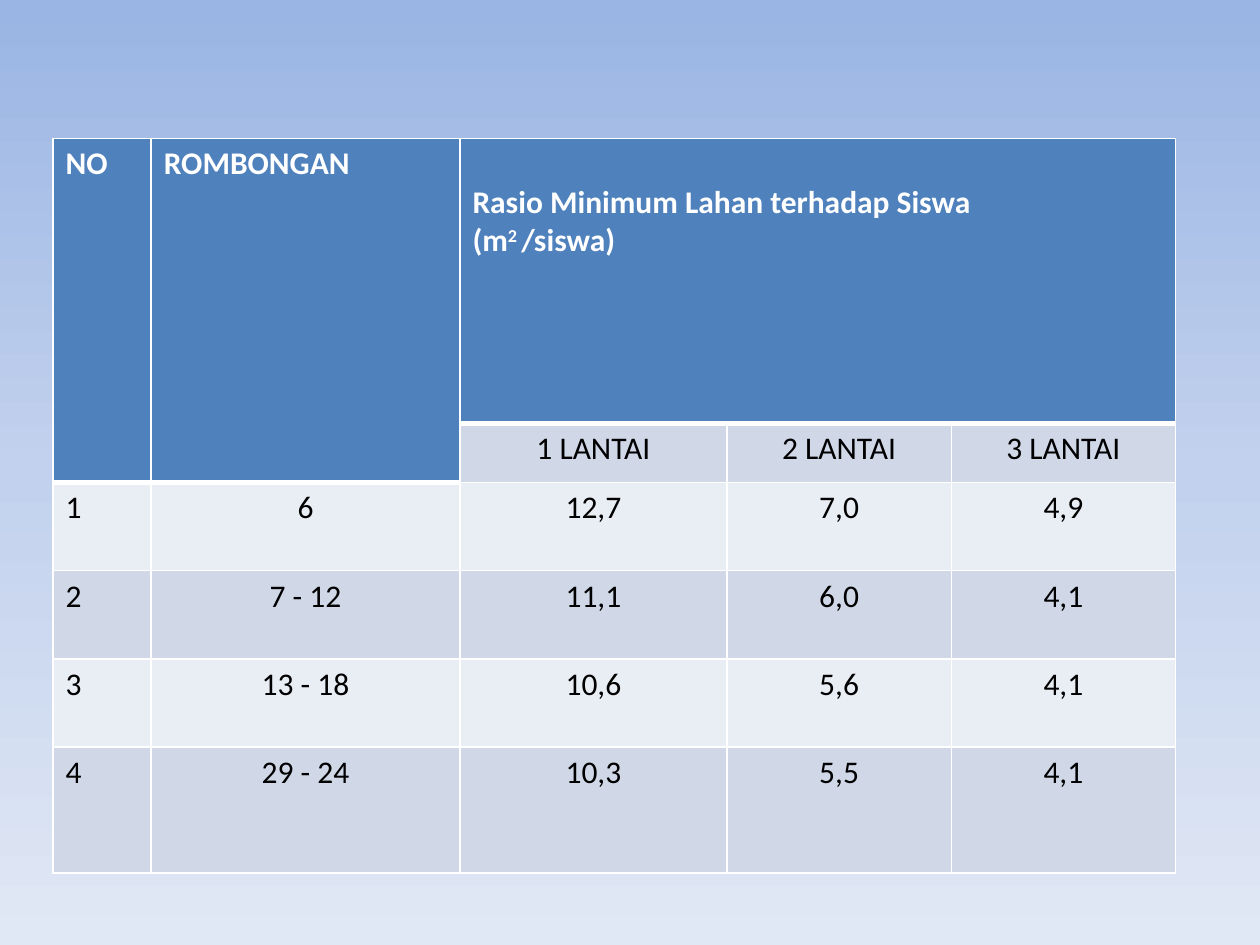
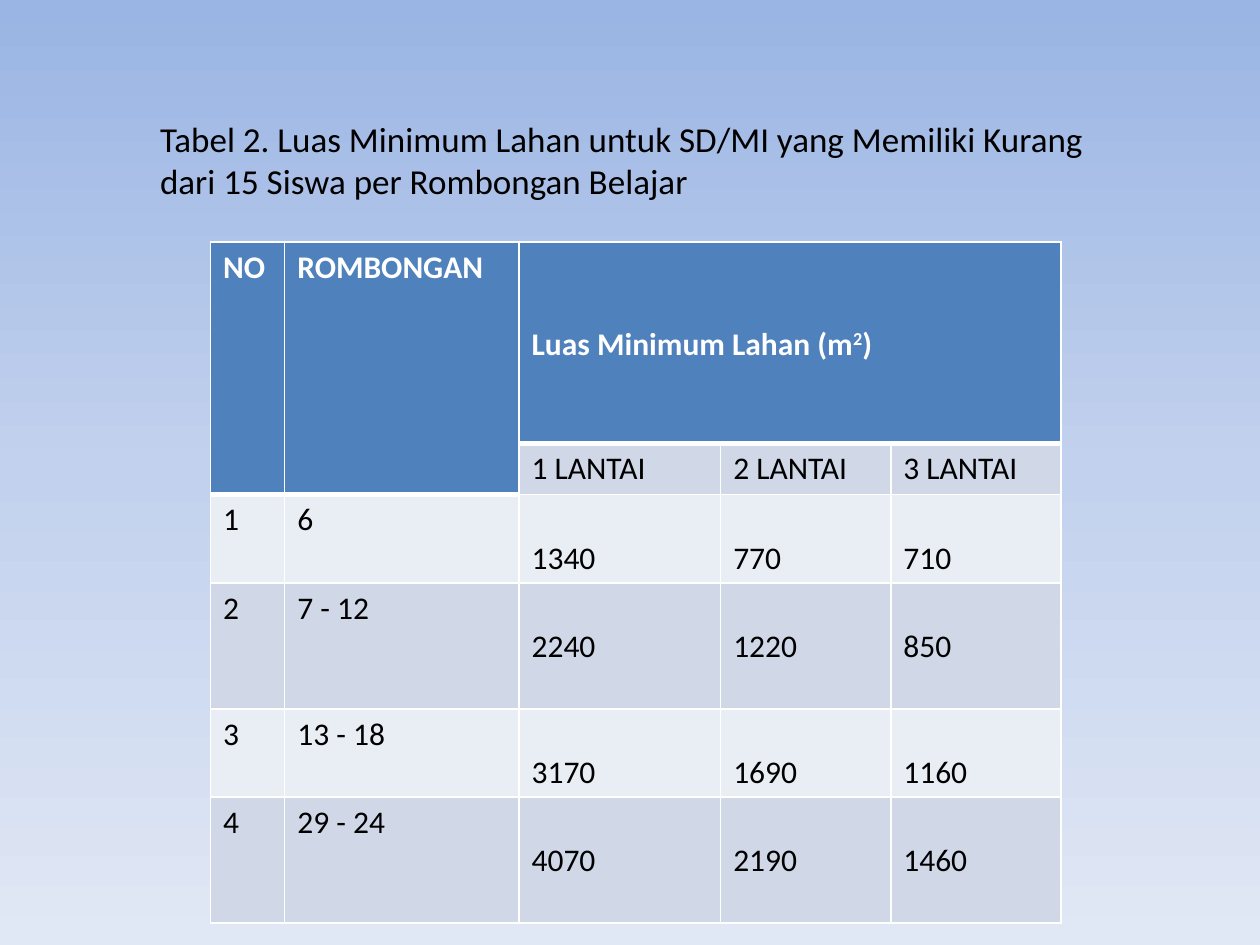
from copy import deepcopy

from lxml.etree import SubElement
from pptx import Presentation
from pptx.dml.color import RGBColor
from pptx.enum.text import MSO_ANCHOR, MSO_AUTO_SIZE, PP_ALIGN
from pptx.oxml.ns import qn
from pptx.util import Emu, Inches, Pt

FONT = "Calibri"
WHITE, BLACK = "FFFFFF", "000000"
HEADER_FILL = "4F81BD"
BAND_FILLS = ("E9EDF4", "D0D8E8")
BACKGROUND_STOPS = ((0, "9AB5E4"), (0.5, "C2D1ED"), (1, "E1E8F5"))

TEXT_SIZE, TITLE_SIZE = 18, 20
LINE = 0.305  # height of one 18 pt line, in inches
MARGIN = 0.05
THIN, THICK = 1, 3

LAYOUT_TITLE_ONLY, LAYOUT_BLANK = 5, 6
FLOORS = ["1 LANTAI", "2 LANTAI", "3 LANTAI"]
GROUPS = ["6", "7 - 12", "13 - 18", "29 - 24"]


def color(hex_value):
    return RGBColor.from_string(hex_value)


def set_background(master):
    fill = master.background.fill
    fill.gradient()
    fill.gradient_angle = 270
    stop_list = next(master.element.iter(qn("a:gsLst")))
    stop_list.insert(1, deepcopy(stop_list[0]))
    for stop, (position, hex_value) in zip(fill.gradient_stops, BACKGROUND_STOPS):
        stop.position = position
        stop.color.rgb = color(hex_value)


def add_run(para, text, size=TEXT_SIZE, hex_value=BLACK, bold=False, raised=False):
    span = para.add_run()
    span.text = text
    span.font.name = FONT
    span.font.size = Pt(size)
    span.font.bold = bold
    span.font.color.rgb = color(hex_value)
    if raised:
        span.font._element.set("baseline", "30000")


def add_title(page, text):
    box = page.shapes.title
    box.left, box.top = Inches(1.17), Inches(0.58)
    box.width, box.height = Inches(7.67), Inches(1.08)
    frame = box.text_frame
    frame.word_wrap = True
    frame.auto_size = MSO_AUTO_SIZE.NONE
    frame.vertical_anchor = MSO_ANCHOR.TOP
    frame.margin_top = Inches(MARGIN + LINE)
    para = frame.paragraphs[0]
    para.alignment = PP_ALIGN.LEFT
    add_run(para, text, TITLE_SIZE)


def set_borders(cell, top, bottom):
    properties = cell._tc.get_or_add_tcPr()
    for side, width in (("L", THIN), ("R", THIN), ("T", top), ("B", bottom)):
        line = SubElement(properties, qn(f"a:ln{side}"), w=str(Pt(width)))
        fill = SubElement(line, qn("a:solidFill"))
        SubElement(fill, qn("a:srgbClr"), val=WHITE)


def is_header(row, column):
    """The two label columns have a header that is two rows high."""
    return row == 0 or (row == 1 and column < 2)


def style_cell(cell, row, column):
    top = THICK if row > 0 and is_header(row - 1, column) else THIN
    bottom = THICK if is_header(row, column) else THIN
    set_borders(cell, top, bottom)
    cell.fill.solid()
    fill = HEADER_FILL if is_header(row, column) else BAND_FILLS[row % 2]
    cell.fill.fore_color.rgb = color(fill)


def write_cell(cell, paragraphs, header=False, alignment=PP_ALIGN.LEFT, lowered=0):
    """Each paragraph is a list of (text, raised) runs; lowered counts lines."""
    if lowered:
        cell.margin_top = Inches(MARGIN + lowered * LINE)
        cell.margin_bottom = 0
    frame = cell.text_frame
    for index, runs in enumerate(paragraphs):
        para = frame.add_paragraph() if index else frame.paragraphs[0]
        para.alignment = alignment
        for text, raised in runs:
            add_run(para, text, hex_value=WHITE if header else BLACK,
                    bold=header, raised=raised)


def add_land_table(page, left, top, widths, heights, heading, values,
                   alignment, heading_lowered, values_lowered=0):
    frame = page.shapes.add_table(
        len(heights), len(widths), Inches(left), Inches(top),
        Inches(sum(widths)), Inches(sum(heights)))
    table = frame.table
    table.horz_banding = False
    for column, width in zip(table.columns, widths):
        column.width = Inches(width)
    for row, height in zip(table.rows, heights):
        row.height = Inches(height)
    for row in range(len(heights)):
        for column in range(len(widths)):
            style_cell(table.cell(row, column), row, column)

    for column, label in enumerate(("NO", "ROMBONGAN")):
        table.cell(0, column).merge(table.cell(1, column))
        write_cell(table.cell(0, column), [[(label, False)]], header=True)
    table.cell(0, 2).merge(table.cell(0, len(widths) - 1))
    write_cell(table.cell(0, 2), heading, header=True, lowered=heading_lowered)

    body = [["", ""] + FLOORS]
    for number, (group, areas) in enumerate(zip(GROUPS, values), 1):
        body.append([str(number), group] + areas)
    for row, texts in enumerate(body, 1):
        for column, text in enumerate(texts):
            if is_header(row, column):
                continue
            write_cell(table.cell(row, column), [[(text, False)]],
                       alignment=alignment if column else PP_ALIGN.LEFT,
                       lowered=values_lowered if row > 1 and column > 1 else 0)


def add_ratio_page(deck):
    page = deck.slides.add_slide(deck.slide_layouts[LAYOUT_BLANK])
    add_land_table(
        page, 0.42, 1.1,
        widths=[0.78, 2.45, 2.12, 1.78, 1.78],
        heights=[2.26, 0.47, 0.7, 0.7, 0.7, 1],
        heading=[[("Rasio Minimum Lahan terhadap Siswa", False)],
                 [("(m", False), ("2 ", True), ("/siswa)", False)]],
        values=[["12,7", "7,0", "4,9"],
                ["11,1", "6,0", "4,1"],
                ["10,6", "5,6", "4,1"],
                ["10,3", "5,5", "4,1"]],
        alignment=PP_ALIGN.CENTER, heading_lowered=1)


def add_area_page(deck):
    page = deck.slides.add_slide(deck.slide_layouts[LAYOUT_TITLE_ONLY])
    add_title(page, "Tabel 2. Luas Minimum Lahan untuk SD/MI yang Memiliki "
                    "Kurang dari 15 Siswa per Rombongan Belajar")
    add_land_table(
        page, 1.67, 1.92,
        widths=[0.59, 1.86, 1.6, 1.35, 1.35],
        heights=[1.6, 0.4, 0.7, 1, 0.7, 1],
        heading=[[("Luas Minimum Lahan (m", False), ("2", True), (")", False)]],
        values=[["1340", "770", "710"],
                ["2240", "1220", "850"],
                ["3170", "1690", "1160"],
                ["4070", "2190", "1460"]],
        alignment=PP_ALIGN.LEFT, heading_lowered=2, values_lowered=1)


def main():
    deck = Presentation()
    deck.slide_width, deck.slide_height = Inches(10), Inches(7.5)
    set_background(deck.slide_master)
    add_ratio_page(deck)
    add_area_page(deck)
    deck.save("out.pptx")


if __name__ == "__main__":
    main()
